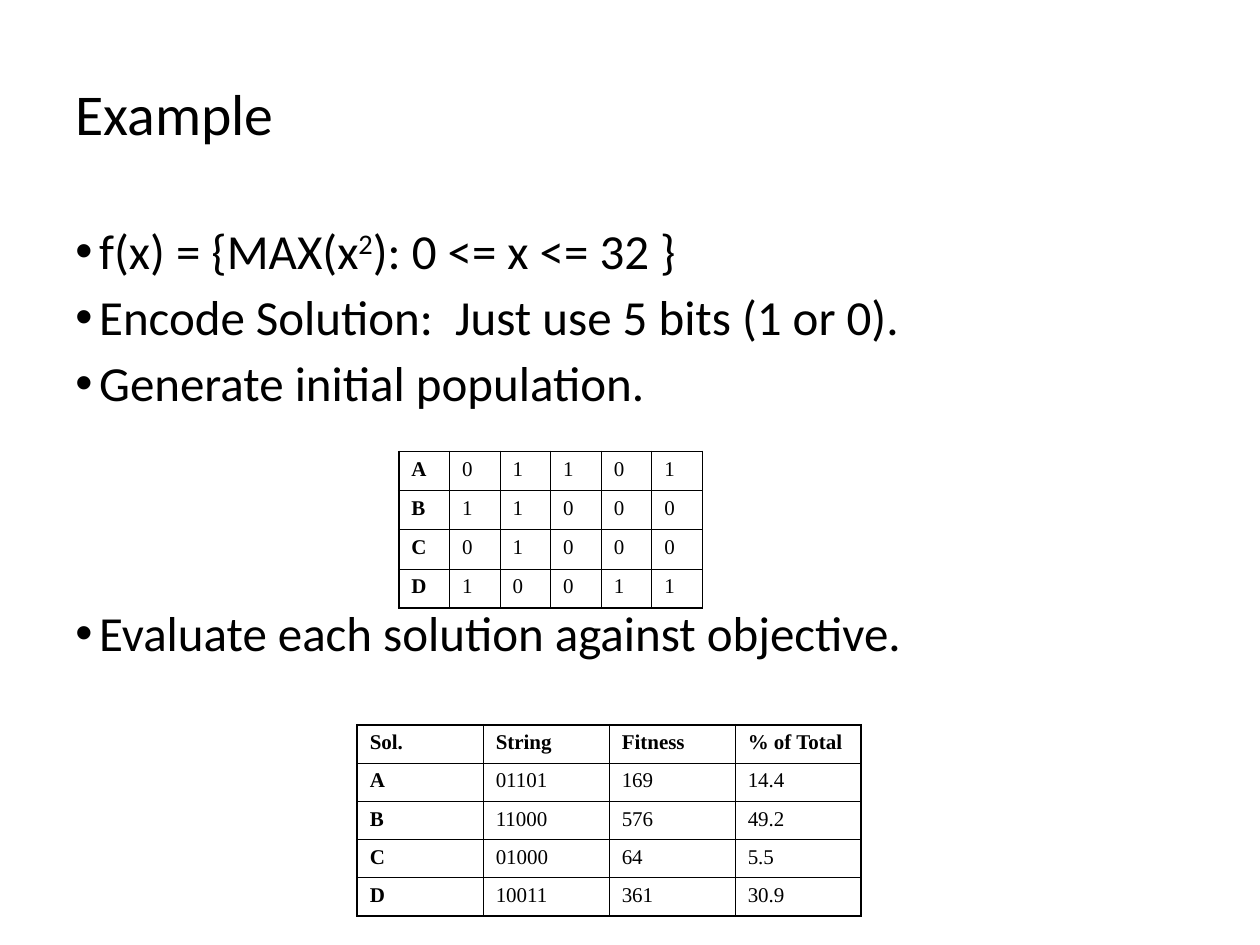
from lxml import etree
from pptx import Presentation
from pptx.dml.color import RGBColor
from pptx.enum.text import MSO_ANCHOR
from pptx.oxml.ns import qn
from pptx.util import Cm, Pt

BLACK = RGBColor(0x00, 0x00, 0x00)
MIDDLE = MSO_ANCHOR.MIDDLE
BODY_FONT = "Calibri"
TABLE_FONT = "Times New Roman"
THIN, THICK = Pt(0.45), Pt(1.08)


class ExampleSlide:
    """Style and current slide, with one method per kind of element."""

    line_spacing = 0.9
    bullet_indent = Cm(0.48)

    def __init__(self, deck):
        self.slide = deck.slides.add_slide(deck.slide_layouts[6])

    def style(self, font, name, size, bold=False):
        font.name, font.size, font.bold = name, Pt(size), bold
        font.color.rgb = BLACK

    def text_frame(self, left, top, width, height):
        box = self.slide.shapes.add_textbox(Cm(left), Cm(top), Cm(width), Cm(height))
        box.text_frame.word_wrap = True
        return box.text_frame

    def title(self, text, *place):
        frame = self.text_frame(*place)
        frame.vertical_anchor = MIDDLE
        frame.text = text
        heading = frame.paragraphs[0]
        heading.line_spacing = self.line_spacing
        self.style(heading.runs[0].font, BODY_FONT, 33)

    def bullets(self, items, *place):
        """Each item is its space before and its parts; every second part is raised."""
        frame = self.text_frame(*place)
        for number, (space, parts) in enumerate(items):
            point = frame.add_paragraph() if number else frame.paragraphs[0]
            point.line_spacing = self.line_spacing
            point.space_before = Pt(space)
            properties = point._p.get_or_add_pPr()
            properties.set("marL", str(self.bullet_indent))
            properties.set("indent", str(-self.bullet_indent))
            etree.SubElement(properties, qn("a:buFont"), typeface="Arial")
            etree.SubElement(properties, qn("a:buChar"), char="•")
            for index, part in enumerate(parts):
                run = point.add_run()
                run.text = part
                self.style(run.font, BODY_FONT, 28)
                if index % 2:
                    run.font._element.set("baseline", "30000")

    def borders(self, cell, widths):
        properties = cell._tc.get_or_add_tcPr()
        for index, (side, width) in enumerate(zip("LRTB", widths)):
            line = etree.Element(qn("a:ln" + side), w=str(width))
            fill = etree.SubElement(line, qn("a:solidFill"))
            etree.SubElement(fill, qn("a:srgbClr"), val=str(BLACK))
            properties.insert(index, line)

    def table(self, rows, left, top, column_width, row_height, header=False):
        last_row, last_column = len(rows) - 1, len(rows[0]) - 1
        table = self.slide.shapes.add_table(
            len(rows), len(rows[0]), Cm(left), Cm(top),
            Cm(column_width * len(rows[0])), Cm(row_height * len(rows))).table
        table.first_row = header
        table.horz_banding = False
        for r, row in enumerate(rows):
            table.rows[r].height = Cm(row_height)
            for c, value in enumerate(row):
                table.columns[c].width = Cm(column_width)
                cell = table.cell(r, c)
                cell.text = value
                cell.fill.background()
                bold = c == 0 or (header and r == 0)
                self.style(cell.text_frame.paragraphs[0].runs[0].font, TABLE_FONT, 12, bold)
                outer = (c == 0, c == last_column, r == 0, r == last_row)
                self.borders(cell, [THICK if edge else THIN for edge in outer])


def main():
    deck = Presentation()
    deck.slide_width, deck.slide_height = Cm(25.4), Cm(19.05)
    example = ExampleSlide(deck)

    # Title and steps, with room for the population table before the last step
    example.title("Example", 1.27, 0.76, 22.86, 3.18)
    example.bullets([
        (0, ["f(x) = {MAX(x", "2", "): 0 <= x <= 32 }"]),
        (7.5, ["Encode Solution:  Just use 5 bits (1 or 0)."]),
        (7.5, ["Generate initial population."]),
        (112.5, ["Evaluate each solution against objective."]),
    ], 1.27, 4.45, 22.86, 12.57)

    # Initial population, one bit per column
    population = {"A": "01101", "B": "11000", "C": "01000", "D": "10011"}
    example.table([[name, *bits] for name, bits in population.items()],
                  8.04, 9.1, 1.02, 0.79)

    # Fitness of each solution
    scores = [("169", "14.4"), ("576", "49.2"), ("64", "5.5"), ("361", "30.9")]
    evaluation = [["Sol.", "String", "Fitness", "% of Total"]]
    evaluation += [[*solution, *score] for solution, score in zip(population.items(), scores)]
    example.table(evaluation, 7.2, 14.61, 2.54, 0.77, header=True)

    deck.save("out.pptx")


if __name__ == "__main__":
    main()
